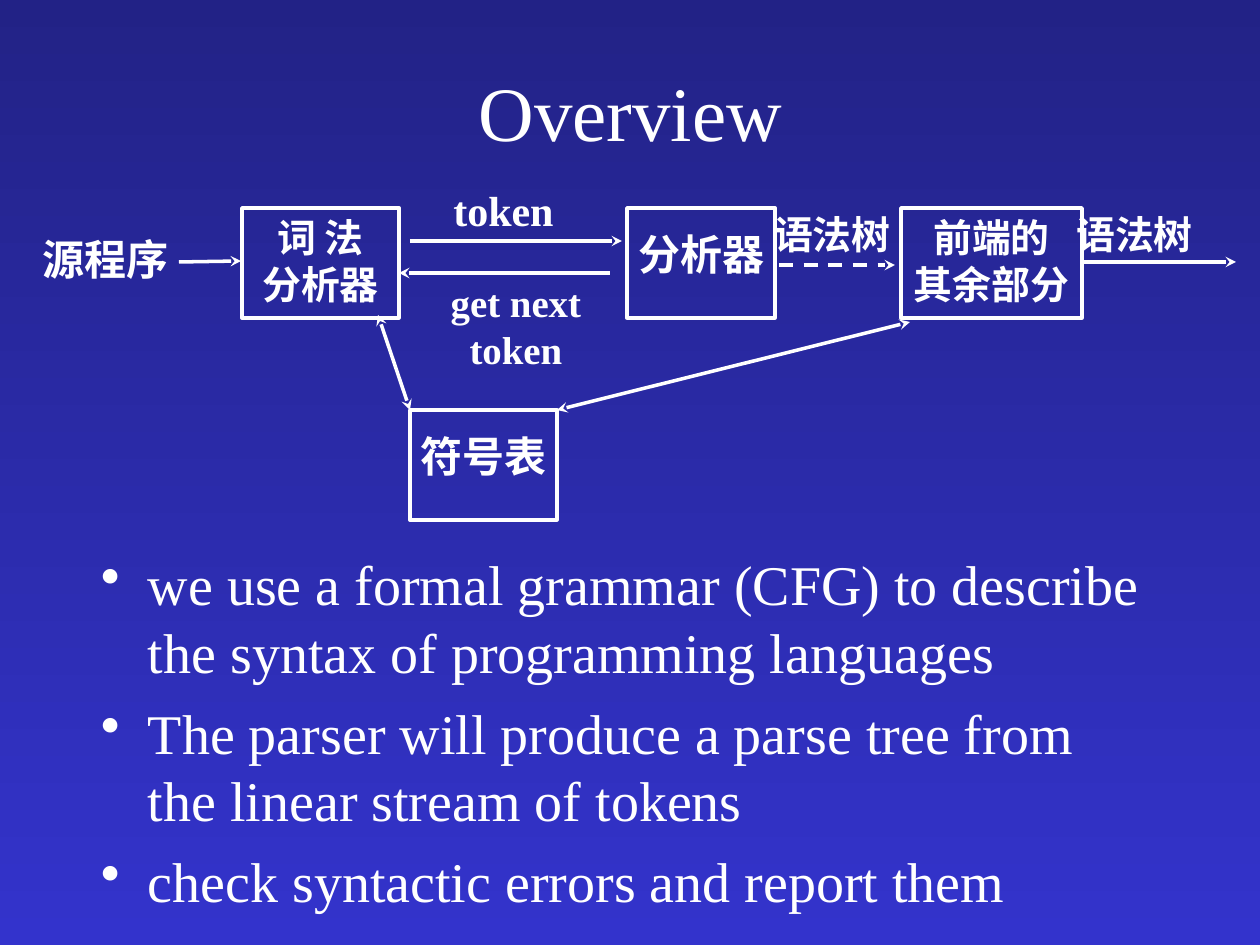
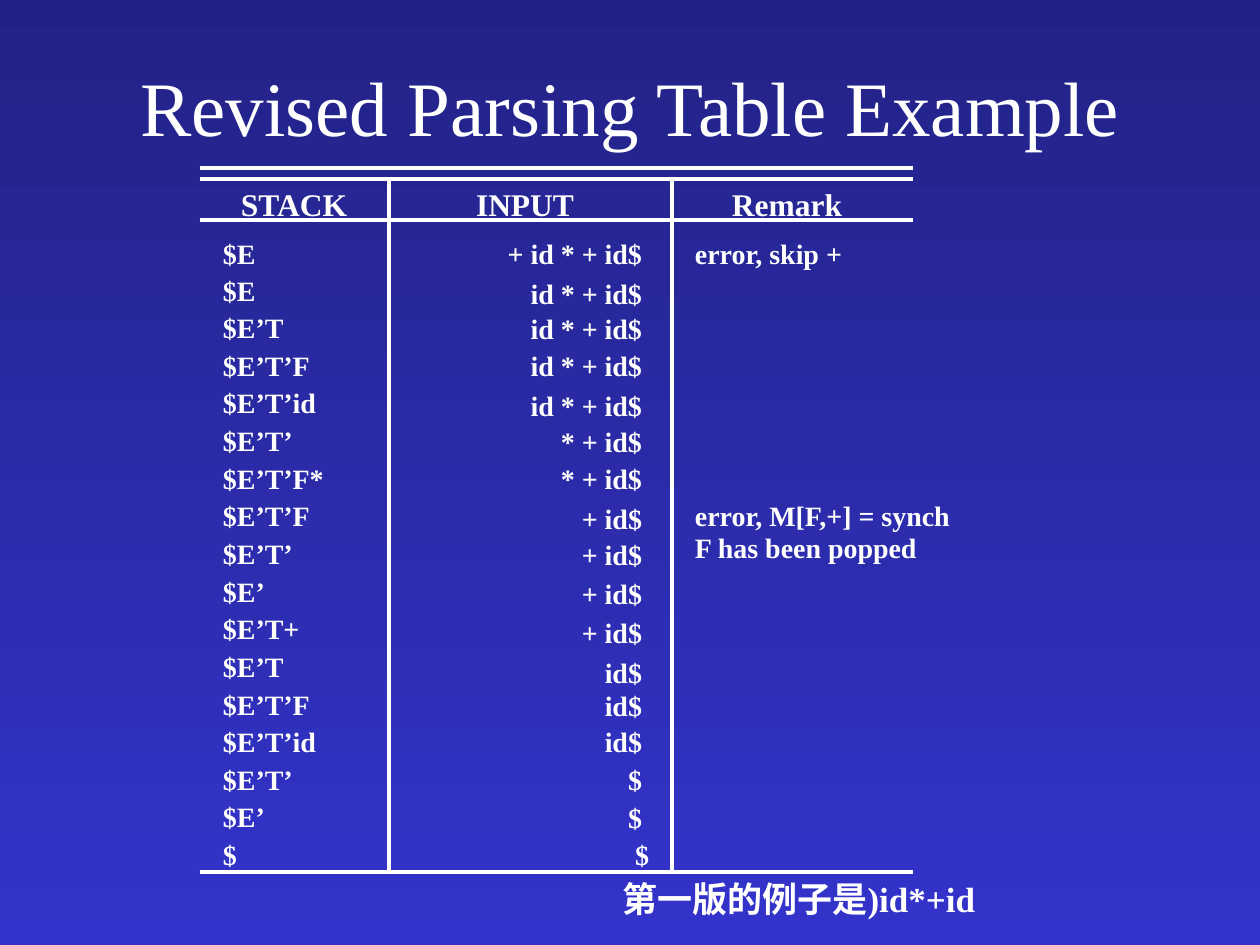
from dataclasses import dataclass
from typing import NamedTuple

from lxml import etree
from pptx import Presentation
from pptx.dml.color import RGBColor
from pptx.enum.dml import MSO_LINE
from pptx.enum.shapes import MSO_CONNECTOR, MSO_SHAPE
from pptx.enum.text import MSO_ANCHOR, PP_ALIGN
from pptx.oxml.ns import qn
from pptx.slide import Slide
from pptx.text.text import TextFrame
from pptx.util import Emu, Pt

# Shared look
WHITE = RGBColor(0xFF, 0xFF, 0xFF)
NAVY = RGBColor(0x22, 0x22, 0x86)
BLUE = RGBColor(0x33, 0x33, 0xCC)
FONT = "Times New Roman"
LEFT, MID, RIGHT = PP_ALIGN.LEFT, PP_ALIGN.CENTER, PP_ALIGN.RIGHT
TOP, CENTER = MSO_ANCHOR.TOP, MSO_ANCHOR.MIDDLE
RECT, LINE, DASH = MSO_SHAPE.RECTANGLE, MSO_CONNECTOR.STRAIGHT, MSO_LINE.DASH
DPI = 126
STROKE = Pt(2)
TITLE_ONLY = 5


class Area(NamedTuple):
    x: int
    y: int
    w: int
    h: int


class Pad(NamedTuple):
    side: int = 13
    top: int = 6
    base: int = 6


@dataclass(frozen=True)
class Label:
    text: str
    area: Area
    size: float
    pad: Pad = Pad()
    align: PP_ALIGN = MID
    boxed: bool = False


@dataclass(frozen=True)
class Wire:
    x1: int
    y1: int
    x2: int
    y2: int
    head: bool = False
    tail: bool = True
    dash: bool = False


class Step(NamedTuple):
    stack: str
    input: str
    rate: float  # line spacing in the input column


def px(n: int) -> Emu:
    return Emu(round(n * 914400 / DPI))


def spot(area: Area) -> list[Emu]:
    return [px(n) for n in area]


def write(frame: TextFrame, lines: list[str], *, size: float, bold: bool = True,
          align: PP_ALIGN = LEFT, anchor: MSO_ANCHOR = TOP, pad: Pad = Pad(),
          gap: float = 0, rates: list[float] | None = None,
          hang: int = 0) -> None:
    """Fill a frame, one paragraph a line; a hang adds bullets."""
    frame.word_wrap = True
    frame.vertical_anchor = anchor
    frame.margin_left = frame.margin_right = px(pad.side)
    frame.margin_top, frame.margin_bottom = px(pad.top), px(pad.base)
    for i, line in enumerate(lines):
        para = frame.add_paragraph() if i else frame.paragraphs[0]
        if hang:
            props = para._p.get_or_add_pPr()
            props.set("marL", str(px(hang)))
            props.set("indent", str(-px(hang)))
            etree.SubElement(props, qn("a:buChar"), char="•")
        para.alignment = align
        para.space_before = Pt(gap if i else 0)
        if rates:
            para.line_spacing = rates[i]
        run = para.add_run()
        run.text = line
        font = run.font
        font.name, font.size, font.bold = FONT, Pt(size), bold
        font.color.rgb = WHITE


def add_label(slide: Slide, label: Label) -> None:
    if label.boxed:
        shape = slide.shapes.add_shape(RECT, *spot(label.area))
        shape.shadow.inherit = False
        shape.fill.background()
        shape.line.color.rgb = WHITE
        shape.line.width = STROKE
    else:
        shape = slide.shapes.add_textbox(*spot(label.area))
    write(shape.text_frame, label.text.split("\n"), size=label.size,
          align=label.align, pad=label.pad)


def add_wire(slide: Slide, wire: Wire) -> None:
    ends = [px(n) for n in (wire.x1, wire.y1, wire.x2, wire.y2)]
    shape = slide.shapes.add_connector(LINE, *ends)
    shape.line.color.rgb = WHITE
    shape.line.width = STROKE
    if wire.dash:
        shape.line.dash_style = DASH
    props = shape._element.spPr
    stroke = props.find(qn("a:ln"))
    for tag, shown in (("a:headEnd", wire.head), ("a:tailEnd", wire.tail)):
        if shown:
            etree.SubElement(stroke, qn(tag), type="stealth")
    etree.SubElement(props, qn("a:effectLst"))


def add_slide(deck: Presentation, title: str, high: int) -> Slide:
    slide = deck.slides.add_slide(deck.slide_layouts[TITLE_ONLY])
    head = slide.shapes.title
    head.left, head.top, head.width, head.height = spot(Area(95, 32, 1071, high))
    write(head.text_frame, [title], size=44, bold=False, align=MID, anchor=CENTER)
    return slide


# Overview: compiler front end
BOX, LOW, TAG = Pad(3), Pad(3, 20), Pad(13, 1)
NODES = [
    Label("词 法\n分析器", Area(242, 208, 157, 110), 22.2, BOX, boxed=True),
    Label("分析器", Area(627, 208, 148, 110), 24, LOW, boxed=True),
    Label("前端的\n其余部分", Area(901, 208, 181, 110), 22.2, BOX, boxed=True),
    Label("符号表", Area(410, 410, 147, 110), 24, LOW, boxed=True),
    Label("源程序", Area(14, 232, 183, 59), 24, TAG),
    Label("token", Area(399, 179, 209, 68), 24),
    Label("get next token", Area(399, 273, 234, 110), 22.2),
    Label("语法树", Area(758, 210, 149, 59), 22.2, TAG),
    Label("语法树", Area(1060, 210, 149, 59), 22.2, TAG),
]
ARROWS = [
    Wire(179, 262, 241, 261),
    Wire(410, 241, 622, 241),
    Wire(610, 273, 399, 273),
    Wire(779, 265, 895, 265, dash=True),
    Wire(1081, 262, 1236, 262),
    Wire(378, 315, 410, 410, head=True),
    Wire(910, 322, 557, 410, head=True),
]
POINTS = [
    "we use a formal grammar (CFG) to describe the syntax of programming languages",
    "The parser will produce a parse tree from the linear stream of tokens",
    "check syntactic errors and report them",
]


def draw_overview(deck: Presentation) -> None:
    slide = add_slide(deck, "Overview", 157)
    for node in NODES:
        add_label(slide, node)
    for arrow in ARROWS:
        add_wire(slide, arrow)
    body = slide.shapes.add_textbox(*spot(Area(88, 544, 1071, 567)))
    write(body.text_frame, POINTS, size=32, bold=False, gap=8, hang=47)


# Parsing trace: a ruled grid with one step a row
EDGES = (200, 913)
RULES = (168, 179, 220, 872)
SPLITS = (389, 672)
HEADS = {"STACK": 210, "INPUT": 441, "Remark": 703}
STEPS = [
    Step("$E", "+ id * + id$ ", 1.0),
    Step("$E", "id * + id$ ", 0.6),
    Step("$E’T", "id * + id$ ", 0.5),
    Step("$E’T’F", "id * + id$ ", 0.6),
    Step("$E’T’id", "id * + id$ ", 0.7),
    Step("$E’T’", "* + id$ ", 0.5),
    Step("$E’T’F*", "* + id$ ", 0.6),
    Step("$E’T’F", "+ id$ ", 0.7),
    Step("$E’T’", "+ id$ ", 0.5),
    Step("$E’", "+ id$ ", 0.7),
    Step("$E’T+", "+ id$ ", 0.6),
    Step("$E’T", "id$ ", 0.7),
    Step("$E’T’F", "id$ ", 0.4),
    Step("$E’T’id", "id$ ", 0.6),
    Step("$E’T’", "$ ", 0.6),
    Step("$E’", "$ ", 0.6),
    Step("$", "$", 0.6),
]
NOTES = [
    Label("error, skip +", Area(682, 231, 210, 47), 16, align=LEFT),
    Label("error, M[F,+] = synch", Area(682, 493, 315, 47), 16, align=LEFT),
    Label("F has been popped", Area(682, 525, 252, 47), 16, align=LEFT),
    Label("第一版的例子是)id*+id", Area(609, 871, 597, 55), 20, align=LEFT),
]


def draw_trace(deck: Presentation) -> None:
    slide = add_slide(deck, "Revised Parsing Table Example", 147)
    for y in RULES:
        add_wire(slide, Wire(EDGES[0], y, EDGES[1], y, tail=False))
    for x in SPLITS:
        add_wire(slide, Wire(x, RULES[1], x, RULES[-1], tail=False))
    for head, x in HEADS.items():
        add_label(slide, Label(head, Area(x, 179, 168, 50), 18))

    count = len(STEPS)
    columns = [
        (Area(210, 231, 158, 645), [s.stack for s in STEPS],
         [1.0, 0.5] + [0.6] * (count - 2), LEFT),
        (Area(410, 231, 252, 645), [s.input for s in STEPS],
         [s.rate for s in STEPS], RIGHT),
    ]
    for area, lines, rates, align in columns:
        box = slide.shapes.add_textbox(*spot(area))
        write(box.text_frame, lines, size=16, align=align, gap=10, rates=rates)
    for note in NOTES:
        add_label(slide, note)


def main() -> None:
    deck = Presentation()
    deck.slide_width, deck.slide_height = px(1260), px(945)
    fill = deck.slide_master.background.fill
    fill.gradient()
    fill.gradient_angle = 270
    for stop, color in zip(fill.gradient_stops, (NAVY, BLUE)):
        stop.color.rgb = color
    draw_overview(deck)
    draw_trace(deck)
    deck.save("out.pptx")


if __name__ == "__main__":
    main()
